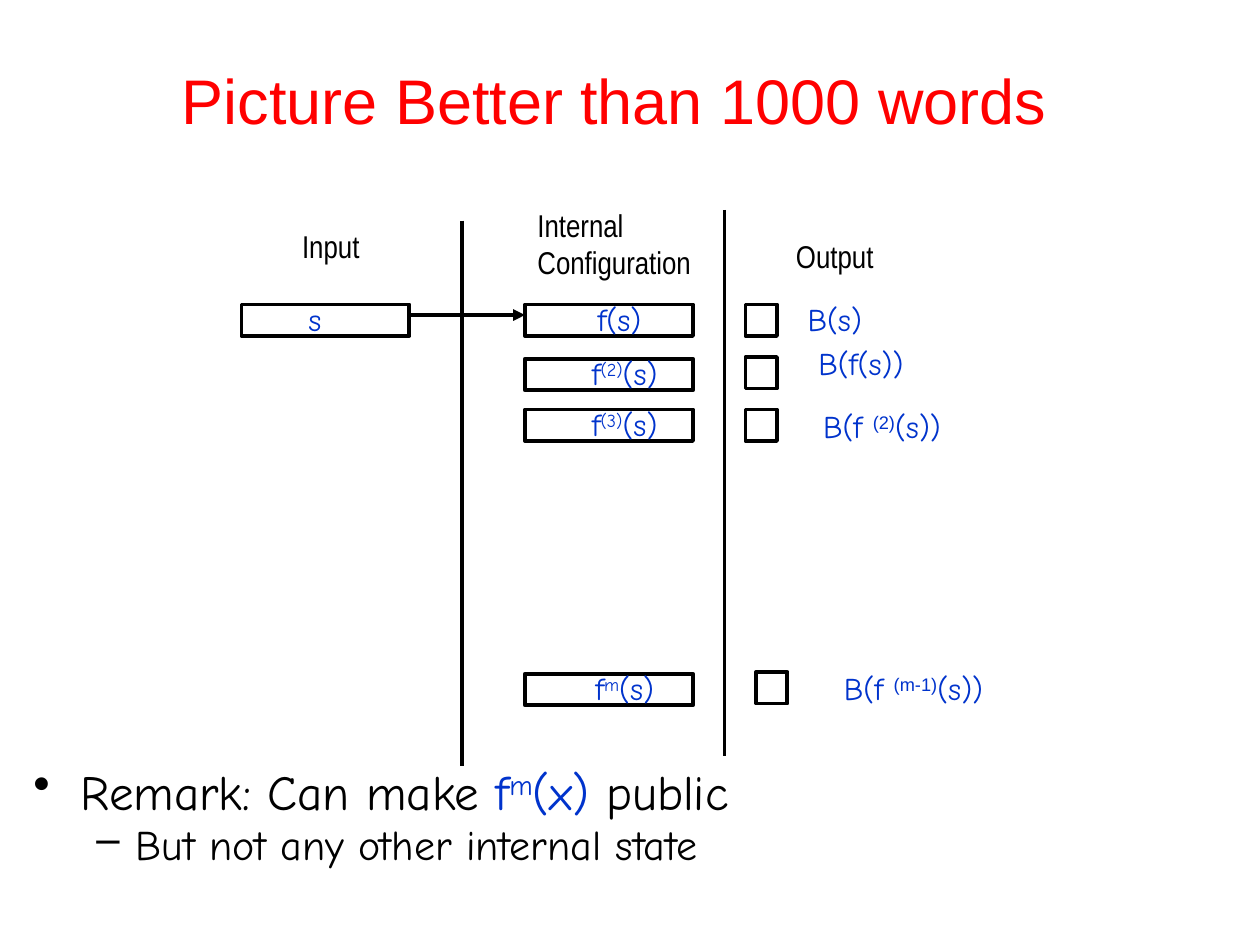
from dataclasses import dataclass

from lxml.etree import SubElement
from pptx import Presentation
from pptx.dml.color import RGBColor
from pptx.enum.shapes import MSO_CONNECTOR, MSO_SHAPE
from pptx.enum.text import MSO_ANCHOR, MSO_AUTO_SIZE, PP_ALIGN
from pptx.oxml.ns import qn
from pptx.util import Pt


@dataclass(frozen=True)
class Theme:
    black: RGBColor = RGBColor(0x00, 0x00, 0x00)
    red: RGBColor = RGBColor(0xFF, 0x00, 0x00)
    blue: RGBColor = RGBColor(0x00, 0x33, 0xCC)
    title_font: str = "Arial"
    heading_font: str = "Arial Narrow"
    formula_font: str = "Comic Neue"
    title_size: int = 36
    remark_size: int = 28
    detail_size: int = 24
    label_size: int = 18
    line_width: float = 2.25


class SlideBuilder:
    def __init__(self, slide, theme):
        self.slide = slide
        self.theme = theme

    def text_box(self, left, top, width, height):
        box = self.slide.shapes.add_textbox(Pt(left), Pt(top), Pt(width), Pt(height))
        box.text_frame.word_wrap = True
        return box.text_frame

    def run(self, paragraph, text, font, size, color, raised=False):
        run = paragraph.add_run()
        run.text = text
        run.font.name = font
        run.font.size = Pt(size)
        run.font.color.rgb = color
        if raised:
            run.font._element.set("baseline", "30000")

    def title(self, text):
        frame = self.text_box(18, 12, 666, 90)
        frame.vertical_anchor = MSO_ANCHOR.MIDDLE
        paragraph = frame.paragraphs[0]
        paragraph.alignment = PP_ALIGN.CENTER
        theme = self.theme
        self.run(paragraph, text, theme.title_font, theme.title_size, theme.red)

    def heading(self, text, left, top, width, height=29, alignment=PP_ALIGN.CENTER):
        frame = self.text_box(left, top, width, height)
        frame.auto_size = MSO_AUTO_SIZE.SHAPE_TO_FIT_TEXT
        paragraph = frame.paragraphs[0]
        paragraph.alignment = alignment
        theme = self.theme
        self.run(paragraph, text, theme.heading_font, theme.label_size, theme.black)

    def formula(self, left, top, width, base, exponent="", rest="", exponent_font=None):
        frame = self.text_box(left, top, width, 29)
        frame.auto_size = MSO_AUTO_SIZE.SHAPE_TO_FIT_TEXT
        paragraph = frame.paragraphs[0]
        paragraph.alignment = PP_ALIGN.CENTER
        theme = self.theme
        style = (theme.label_size, theme.blue)
        self.run(paragraph, base, theme.formula_font, *style)
        if exponent:
            font = exponent_font or theme.formula_font
            self.run(paragraph, exponent, font, *style, raised=True)
            self.run(paragraph, rest, theme.formula_font, *style)

    def register(self, left, top, width):
        shape = self.slide.shapes.add_shape(
            MSO_SHAPE.RECTANGLE, Pt(left), Pt(top), Pt(width), Pt(18))
        shape.shadow.inherit = False
        shape.fill.background()
        shape.line.color.rgb = self.theme.black
        shape.line.width = Pt(self.theme.line_width)

    def line(self, x1, y1, x2, y2, arrow=False):
        connector = self.slide.shapes.add_connector(
            MSO_CONNECTOR.STRAIGHT, Pt(x1), Pt(y1), Pt(x2), Pt(y2))
        connector.line.color.rgb = self.theme.black
        connector.line.width = Pt(self.theme.line_width)
        if arrow:
            SubElement(connector.line._get_or_add_ln(), qn("a:tailEnd"), type="triangle")
        SubElement(connector._element.spPr, qn("a:effectLst"))

    def bullet(self, paragraph, character, margin, indent, level=0):
        properties = paragraph._p.get_or_add_pPr()
        properties.set("marL", str(Pt(margin)))
        properties.set("indent", str(Pt(indent)))
        SubElement(properties, qn("a:buChar"), char=character)
        paragraph.level = level
        paragraph.line_spacing = 0.8

    def remarks(self):
        theme = self.theme
        frame = self.text_box(12, 438, 648, 102)
        remark = frame.paragraphs[0]
        self.bullet(remark, "•", 27, -27)
        for text, color, raised in (
            ("Remark: Can make ", theme.black, False),
            ("f", theme.blue, False),
            ("m", theme.blue, True),
            ("(x)", theme.blue, False),
            (" public", theme.black, False),
        ):
            self.run(remark, text, theme.formula_font, theme.remark_size, color, raised)
        detail = frame.add_paragraph()
        self.bullet(detail, "–", 58.5, -22.5, level=1)
        detail.space_before = Pt(0.2 * theme.detail_size)
        self.run(detail, "But not any other internal state",
                 theme.formula_font, theme.detail_size, theme.black)


def main():
    presentation = Presentation()
    presentation.slide_width = Pt(720)
    presentation.slide_height = Pt(540)
    slide = presentation.slides.add_slide(presentation.slide_layouts[6])
    theme = Theme()
    builder = SlideBuilder(slide, theme)

    builder.title("Picture Better than 1000 words")
    builder.remarks()

    builder.heading("Input", 144, 126, 90)
    builder.heading("Internal Configuration", 300, 114, 120, 50, PP_ALIGN.LEFT)
    builder.heading("Output", 432, 132, 90)
    builder.line(264, 126, 264, 438)
    builder.line(414, 120, 414, 432)

    input_left, state_left, register_width = 138, 300, 96
    builder.register(input_left, 174, register_width)
    builder.formula(162, 168, 36, "s")
    builder.line(input_left + register_width, 180, state_left, 180, arrow=True)

    states = (
        (174, 330, 48, ("f(s)",)),
        (205, 324, 66, ("f", "(2)", "(s)")),
        (234, 324, 66, ("f", "(3)", "(s)")),
        (385, 324, 66, ("f", "m", "(s)")),
    )
    for top, label_left, label_width, parts in states:
        builder.register(state_left, top, register_width)
        builder.formula(label_left, top - 6, label_width, *parts)

    outputs = (
        (426, 174, 414, 168, 132, ("B(s) ",)),
        (426, 204, 438, 193, 108, ("B(f(s))",)),
        (426, 234, 450, 229, 108, ("B(f ", "(2)", "(s))")),
        (432, 384, 456, 379, 132, ("B(f ", "(m-1)", "(s))")),
    )
    for left, top, label_left, label_top, label_width, parts in outputs:
        builder.register(left, top, 18)
        builder.formula(label_left, label_top, label_width, *parts,
                        exponent_font=theme.title_font)

    presentation.save("out.pptx")


if __name__ == "__main__":
    main()
